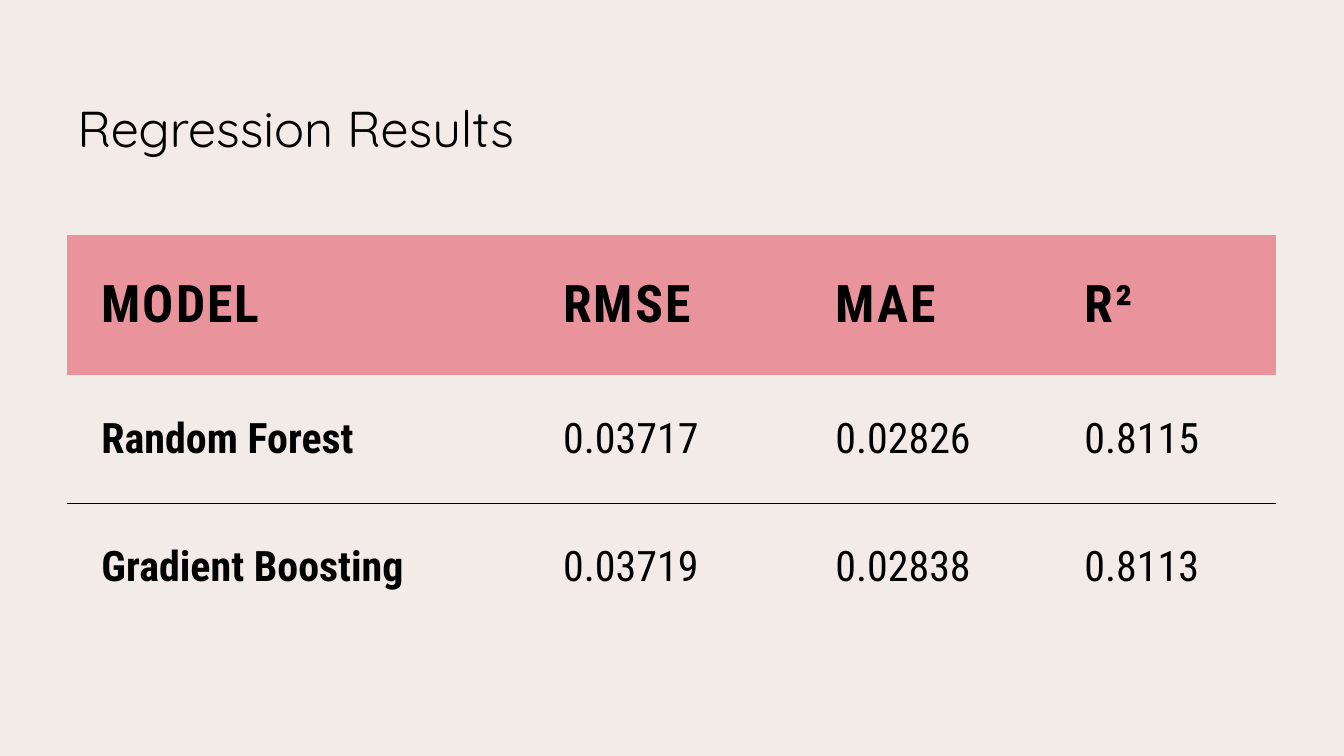
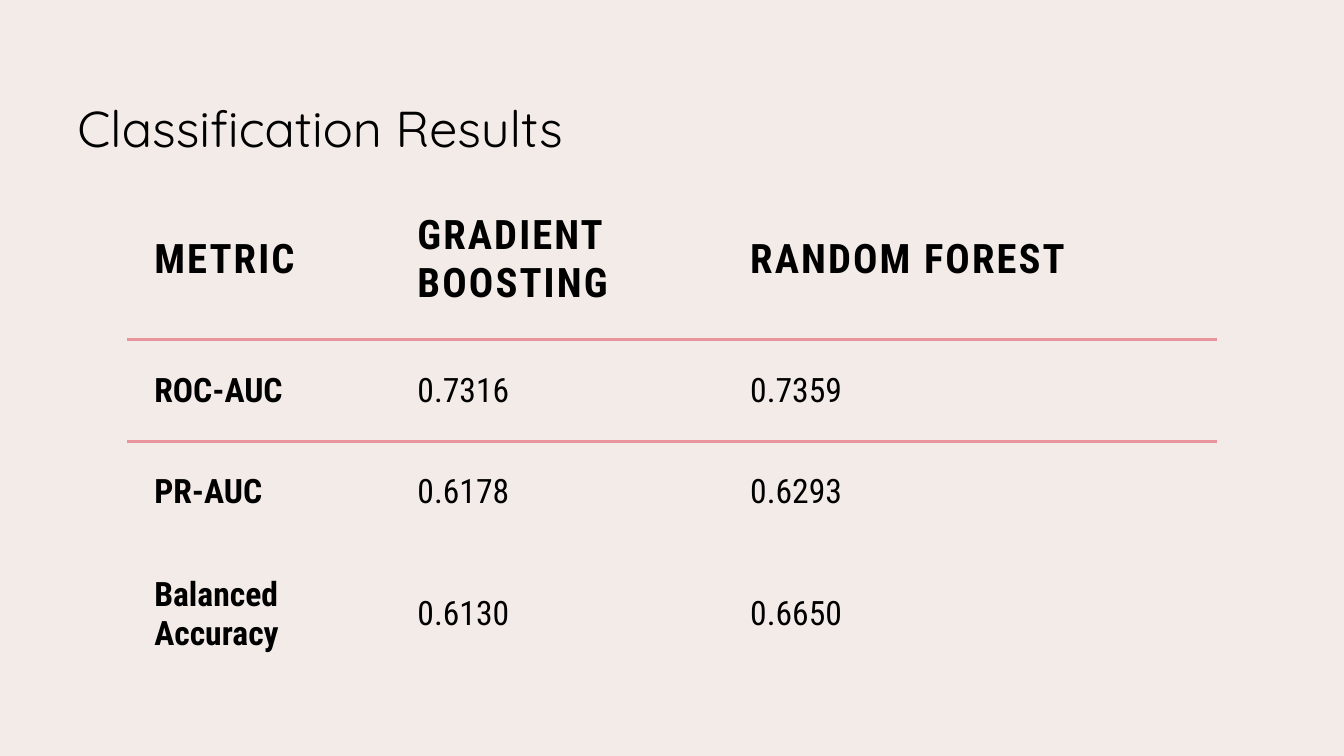
"""Build two slides that show model results as tables."""
from dataclasses import dataclass

from lxml.etree import SubElement
from pptx import Presentation
from pptx.dml.color import RGBColor
from pptx.enum.text import MSO_ANCHOR, MSO_AUTO_SIZE, PP_ALIGN
from pptx.oxml import parse_xml
from pptx.oxml.ns import nsdecls, qn
from pptx.slide import Slide, SlideLayout
from pptx.table import _Cell
from pptx.util import Inches, Pt

BLACK = RGBColor(0x00, 0x00, 0x00)
CREAM = RGBColor(0xF3, 0xEB, 0xE8)
PINK = RGBColor(0xE9, 0x93, 0x9D)
WIDE, HIGH = Inches(13.33), Inches(7.5)
PLAIN_STYLE = "{2D5ABB26-0587-4C30-8999-92F81FD0307C}"
TITLE_FONT = {"name": "Quicksand", "size": Pt(36), "bold": False}
TITLE_FRAME = {"vertical_anchor": MSO_ANCHOR.BOTTOM, "word_wrap": True,
               "auto_size": MSO_AUTO_SIZE.NONE}
TITLE_PARA = {"alignment": PP_ALIGN.LEFT, "line_spacing": 0.9}


@dataclass(frozen=True)
class Rule:
    """A line under one row of a grid."""
    row: int
    color: RGBColor
    weight: float


@dataclass(frozen=True)
class Grid:
    """A table slide, with lengths in percent of the slide's size."""
    title: str
    left: float
    top: float
    cols: list[float]
    rows: list[float]
    inset: float
    head_size: int
    body_size: int
    rule: Rule
    texts: list[list[str]]
    band: RGBColor | None = None


GRIDS = [
    Grid("Regression Results", 5, 31.07,
         [34.36, 20.25, 18.53, 16.8], [18.53, 16.93, 16.93],
         2.55, 37, 30, Rule(1, BLACK, 0.5),
         [["MODEL", "RMSE", "MAE", "R²"],
          ["Random Forest", "0.03717", "0.02826", "0.8115"],
          ["Gradient Boosting", "0.03719", "0.02838", "0.8113"]],
         PINK),
    Grid("Classification Results", 9.45, 23.73,
         [19.58, 24.76, 36.76], [21.2, 13.47, 13.47, 18.8],
         2.03, 29, 24, Rule(0, PINK, 2.25),
         [["METRIC", "GRADIENT BOOSTING", "RANDOM FOREST"],
          ["ROC-AUC", "0.7316", "0.7359"],
          ["PR-AUC", "0.6178", "0.6293"],
          ["Balanced Accuracy", "0.6130", "0.6650"]]),
]


def across(share: float) -> int:
    """Turn a percent of the slide's width into a length."""
    return round(WIDE * share / 100)


def down(share: float) -> int:
    """Turn a percent of the slide's height into a length."""
    return round(HIGH * share / 100)


def apply(target: object, values: dict) -> None:
    """Set each named value on the target."""
    for name, value in values.items():
        setattr(target, name, value)


def draw_rule(cell: _Cell, side: str, rule: Rule) -> None:
    """Draw one border of a cell."""
    line = parse_xml(f'<a:{side} {nsdecls("a")} w="{Pt(rule.weight)}"/>')
    fill = SubElement(line, qn("a:solidFill"))
    SubElement(fill, qn("a:srgbClr"), val=str(rule.color))
    cell._tc.get_or_add_tcPr().insert(0, line)


def fill_cell(cell: _Cell, grid: Grid, row: int, col: int) -> None:
    """Write and format one cell of the grid."""
    head = row == 0
    inset = across(grid.inset)
    apply(cell, {"text": grid.texts[row][col],
                 "vertical_anchor": MSO_ANCHOR.MIDDLE,
                 "margin_left": inset, "margin_right": inset,
                 "margin_top": inset, "margin_bottom": inset})
    run = cell.text_frame.paragraphs[0].runs[0]
    apply(run.font, {"name": "Roboto Condensed",
                     "size": Pt(grid.head_size if head else grid.body_size),
                     "bold": head or col == 0})
    run.font.color.rgb = BLACK
    if head:
        run.font._element.set("spc", "150")
    if head and grid.band:
        cell.fill.solid()
        cell.fill.fore_color.rgb = grid.band
    else:
        cell.fill.background()
    if row == grid.rule.row:
        draw_rule(cell, "lnB", grid.rule)
    elif row == grid.rule.row + 1:
        draw_rule(cell, "lnT", grid.rule)


def add_title(slide: Slide, text: str) -> None:
    """Write the slide's title."""
    frame = slide.shapes.title.text_frame
    frame.text = text
    apply(frame, TITLE_FRAME)
    para = frame.paragraphs[0]
    apply(para, TITLE_PARA)
    font = para.runs[0].font
    apply(font, TITLE_FONT)
    font.color.rgb = BLACK


def add_grid(slide: Slide, grid: Grid) -> None:
    """Draw the grid as a table."""
    table = slide.shapes.add_table(
        len(grid.rows), len(grid.cols), across(grid.left), down(grid.top),
        across(sum(grid.cols)), down(sum(grid.rows))).table
    apply(table, {"first_row": False, "horz_banding": False})
    table._tbl.tblPr.find(qn("a:tableStyleId")).text = PLAIN_STYLE
    for col, share in zip(table.columns, grid.cols):
        col.width = across(share)
    for row, share in enumerate(grid.rows):
        table.rows[row].height = down(share)
        for col in range(len(grid.cols)):
            fill_cell(table.cell(row, col), grid, row, col)


def set_theme(layout: SlideLayout) -> None:
    """Set the ground and title place that all slides share."""
    ground = layout.slide_master.background.fill
    ground.solid()
    ground.fore_color.rgb = CREAM
    apply(layout.placeholders[0], {"left": across(5), "top": down(7.47),
                                   "width": across(90), "height": down(14.13)})


def main() -> None:
    """Build and save the slides."""
    deck = Presentation()
    apply(deck, {"slide_width": WIDE, "slide_height": HIGH})
    layout = deck.slide_layouts.get_by_name("Title Only")
    set_theme(layout)
    for grid in GRIDS:
        slide = deck.slides.add_slide(layout)
        add_title(slide, grid.title)
        add_grid(slide, grid)
    deck.save("out.pptx")


if __name__ == "__main__":
    main()
